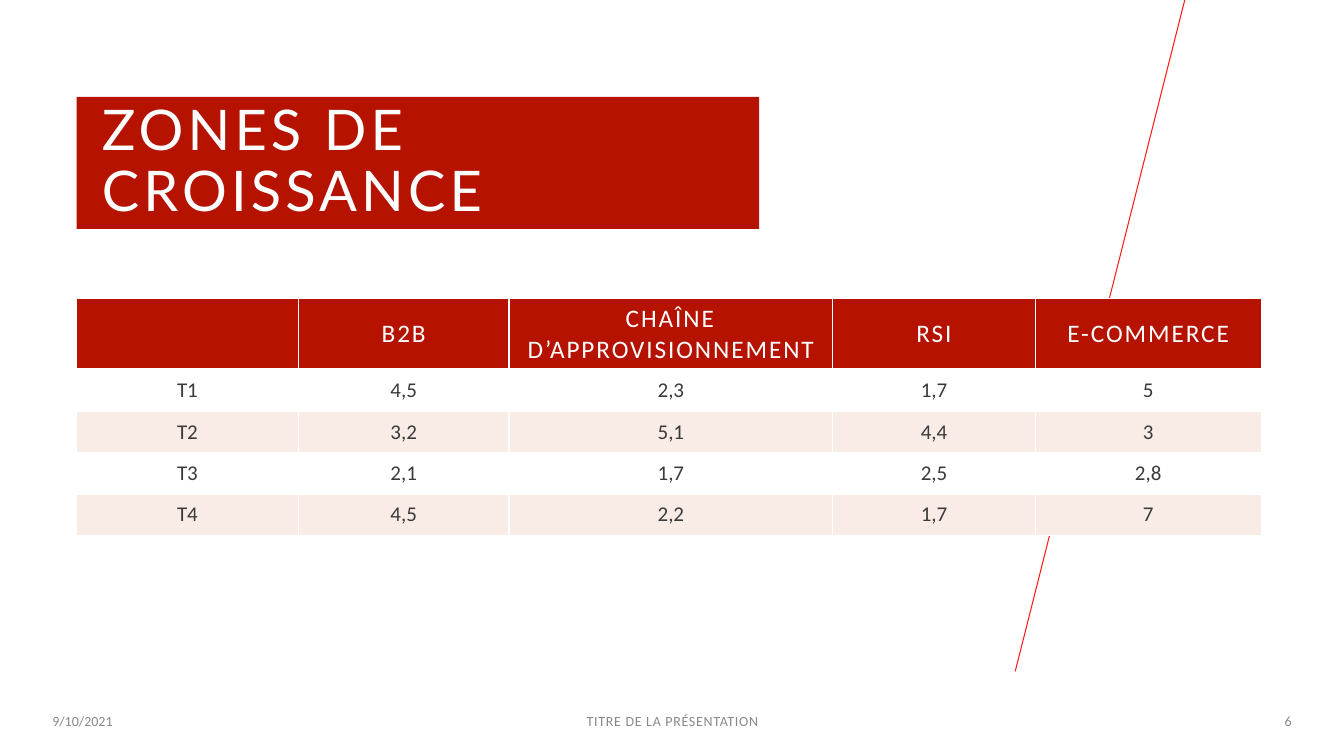
from lxml import etree
from pptx import Presentation
from pptx import util as u
from pptx.dml.color import RGBColor
from pptx.enum import shapes, text
from pptx.oxml import ns

WIDTH, HEIGHT = u.Inches(13.33), u.Inches(7.5)
COLORS = {"red": "B51200", "line": "FD1B17", "white": "FFFFFF",
          "blush": "F9EBE5", "ink": "3A3A3A", "grey": "898989"}
LEFT, CENTER, RIGHT = text.PP_ALIGN.LEFT, text.PP_ALIGN.CENTER, text.PP_ALIGN.RIGHT
COLUMNS = [16.5, 15.68, 24.08, 15.08, 16.8]
HEADER_ROW, BODY_ROW = 9.2, 5.47
GROWTH = [
    ["", "B2B", "CHAÎNE D’APPROVISIONNEMENT", "RSI", "E-COMMERCE"],
    ["T1", "4,5", "2,3", "1,7", "5"],
    ["T2", "3,2", "5,1", "4,4", "3"],
    ["T3", "2,1", "1,7", "2,5", "2,8"],
    ["T4", "4,5", "2,2", "1,7", "7"],
]
FOOTERS = [
    ("9/10/2021", 3.15, 14.18, LEFT, 0),
    ("TITRE DE LA PRÉSENTATION", 33.16, 33.76, CENTER, 0.5),
    ("6", 84.25, 12.6, RIGHT, 0),
]


def across(percent):
    return round(WIDTH * percent / 100)


def down(percent):
    return round(HEIGHT * percent / 100)


def area(left, top, width, height):
    return across(left), down(top), across(width), down(height)


def color(name):
    return RGBColor.from_string(COLORS[name])


def paint(target, name):
    target.fill.solid()
    target.fill.fore_color.rgb = color(name)


def write(frame, words, size=15, ink="ink", font="Calibri", align=CENTER, spacing=0):
    para = frame.paragraphs[0]
    para.alignment = align
    span = para.add_run()
    span.text = words
    span.font.size = u.Pt(size)
    span.font.name = font
    span.font.color.rgb = color(ink)
    span.font._element.set("spc", str(round(spacing * 100)))
    return para


def add_slant(page):
    slant = page.shapes.add_connector(shapes.MSO_CONNECTOR.STRAIGHT,
                                      across(88.15), 0, across(75.54), down(88.8))
    slant.line.color.rgb = color("line")
    slant.line.width = u.Pt(0.75)
    etree.SubElement(slant._element.spPr, ns.qn("a:effectLst"))


def add_title(page):
    title = page.shapes.title
    title.left, title.top, title.width, title.height = area(5.7, 12.8, 50.79, 17.47)
    paint(title, "red")
    frame = title.text_frame
    frame.word_wrap = True
    frame.auto_size = text.MSO_AUTO_SIZE.NONE
    frame.vertical_anchor = text.MSO_ANCHOR.MIDDLE
    frame.margin_left = u.Inches(0.25)
    para = write(frame, "ZONES DE CROISSANCE", size=40, ink="white", font="Lato",
                 align=LEFT, spacing=3)
    para.line_spacing = 0.9


def add_borders(cell, bottom):
    properties = cell._tc.get_or_add_tcPr()
    for index, (side, points) in enumerate(zip("LRTB", (1, 1, 1, bottom))):
        border = etree.Element(ns.qn(f"a:ln{side}"), w=str(u.Pt(points)))
        fill = etree.SubElement(border, ns.qn("a:solidFill"))
        etree.SubElement(fill, ns.qn("a:srgbClr"), val=COLORS["white"])
        properties.insert(index, border)


def add_growth_table(page):
    heights = [HEADER_ROW] + [BODY_ROW] * (len(GROWTH) - 1)
    table = page.shapes.add_table(len(GROWTH), len(COLUMNS), *area(
        5.7, 39.47, sum(COLUMNS), sum(heights))).table
    for column, width in zip(table.columns, COLUMNS):
        column.width = across(width)
    for r, (row, height, values) in enumerate(zip(table.rows, heights, GROWTH)):
        row.height = down(height)
        header = r == 0
        fill = "red" if header else ("blush", "white")[r % 2]
        style = {"size": 18, "ink": "white", "spacing": 1.4} if header else {}
        for cell, value in zip(row.cells, values):
            paint(cell, fill)
            add_borders(cell, 3 if header else 1)
            cell.vertical_anchor = text.MSO_ANCHOR.MIDDLE
            if value:
                write(cell.text_frame, value, **style)


def add_footer(page, words, left, width, align, spacing):
    box = page.shapes.add_textbox(*area(left, 92.67, width, 5.33))
    frame = box.text_frame
    frame.word_wrap = True
    frame.vertical_anchor = text.MSO_ANCHOR.MIDDLE
    write(frame, words, size=10, ink="grey", align=align, spacing=spacing)


def main():
    deck = Presentation()
    deck.slide_width, deck.slide_height = WIDTH, HEIGHT
    page = deck.slides.add_slide(deck.slide_layouts.get_by_name("Title Only"))
    add_slant(page)
    add_title(page)
    add_growth_table(page)
    for footer in FOOTERS:
        add_footer(page, *footer)
    deck.save("out.pptx")


if __name__ == "__main__":
    main()
